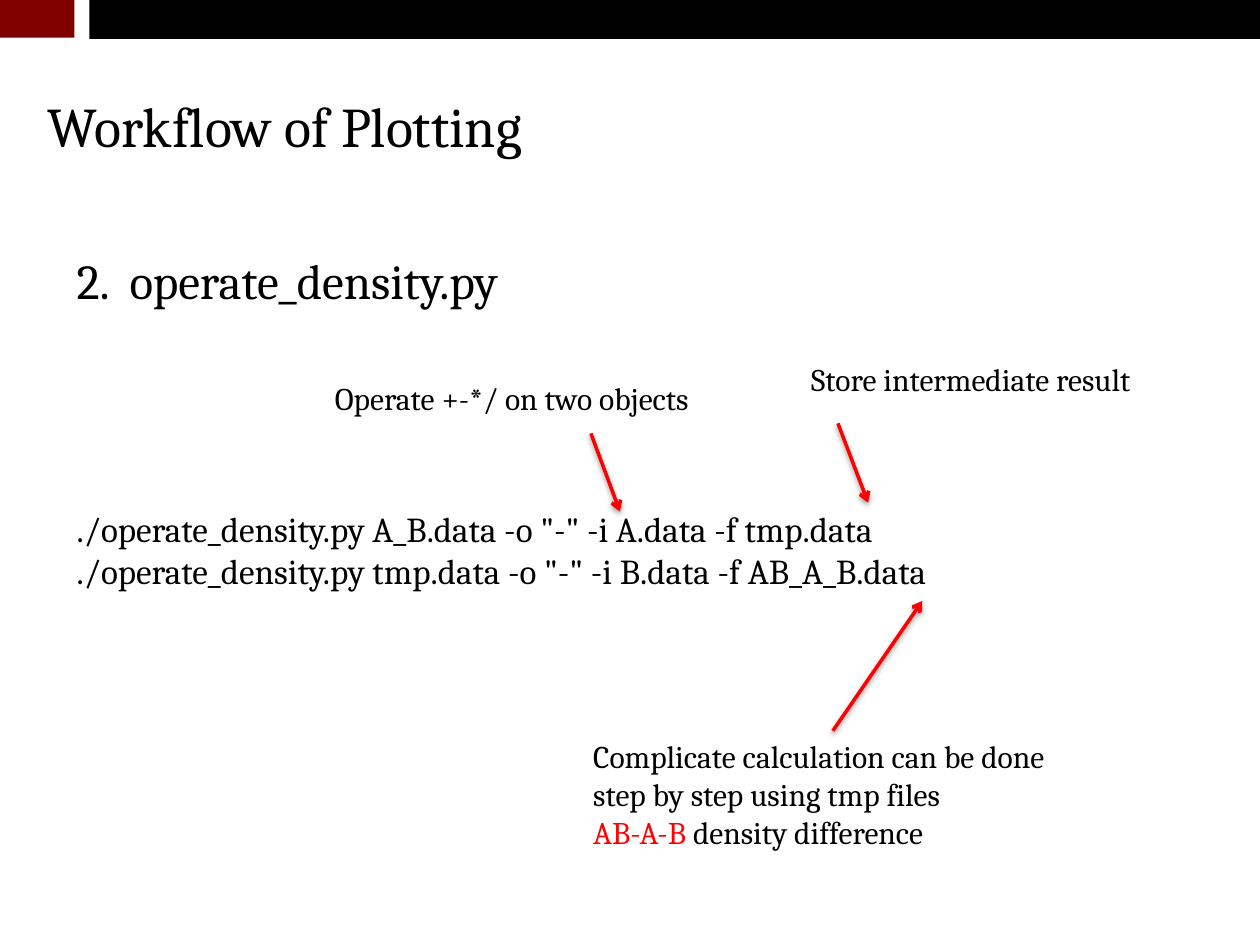
from lxml.etree import SubElement
from pptx import Presentation
from pptx.dml.color import RGBColor
from pptx.enum.shapes import MSO_CONNECTOR, MSO_SHAPE
from pptx.oxml.ns import qn
from pptx.util import Inches, Pt

COLORS = {"black": "000000", "maroon": "800000", "red": "FF0000"}
FONT = "Cambria"


def rgb(name):
    return RGBColor.from_string(COLORS[name])


def add_bar(slide, left, top, width, height, color):
    bar = slide.shapes.add_shape(MSO_SHAPE.RECTANGLE, Inches(left), Inches(top),
                                 Inches(width), Inches(height))
    bar.shadow.inherit = False
    bar.fill.solid()
    bar.fill.fore_color.rgb = rgb(color)
    bar.line.fill.background()


def add_text(slide, box, paragraphs, size, tab=None):
    """Write paragraphs, each a list of (text, color) runs; tab is a stop in inches."""
    shape = slide.shapes.add_textbox(*(Inches(length) for length in box))
    frame = shape.text_frame
    frame.word_wrap = True
    for index, runs in enumerate(paragraphs):
        paragraph = frame.add_paragraph() if index else frame.paragraphs[0]
        if tab:
            stops = SubElement(paragraph._p.get_or_add_pPr(), qn("a:tabLst"))
            SubElement(stops, qn("a:tab"), pos=str(Inches(tab)), algn="l")
        paragraph.font.name = FONT
        paragraph.font.size = Pt(size)
        for text, color in runs:
            run = paragraph.add_run()
            run.text = text
            run.font.color.rgb = rgb(color)


def add_arrow(slide, start, end):
    """Draw a red arrow with a soft shadow below it."""
    points = (Inches(length) for length in (*start, *end))
    arrow = slide.shapes.add_connector(MSO_CONNECTOR.STRAIGHT, *points)
    arrow.line.color.rgb = rgb("red")
    arrow.line.width = Pt(2)
    SubElement(arrow.line._get_or_add_ln(), qn("a:tailEnd"), type="arrow")
    effects = SubElement(arrow._element.spPr, qn("a:effectLst"))
    shadow = SubElement(effects, qn("a:outerShdw"), blurRad=str(Pt(3.1)),
                        dist=str(Pt(1.6)), dir="5400000", rotWithShape="0")
    color = SubElement(shadow, qn("a:srgbClr"), val=COLORS["black"])
    SubElement(color, qn("a:alpha"), val="38000")


def add_header(slide, title):
    add_bar(slide, 0.71, 0, 9.33, 0.31, "black")
    add_bar(slide, 0, -0.03, 0.59, 0.33, "maroon")
    add_text(slide, (0.28, 0.68, 8.98, 0.64), [[(title, "black")]], 32)


def add_commands(slide, left, width):
    add_text(slide, (left, 1.94, 7.17, 0.57),
             [[("2.\toperate_density.py", "black")]], 28, tab=0.42)
    commands = [
        './operate_density.py A_B.data -o "-" -i A.data -f tmp.data',
        './operate_density.py tmp.data -o "-" -i B.data -f AB_A_B.data',
    ]
    add_text(slide, (left, 3.98, width, 0.78),
             [[(command, "black")] for command in commands], 20)


def add_callout(slide, box, paragraphs, start, end):
    add_arrow(slide, start, end)
    add_text(slide, box, paragraphs, 18)


def main():
    presentation = Presentation()
    presentation.slide_width = Inches(10)
    presentation.slide_height = Inches(7.5)
    slide = presentation.slides.add_slide(presentation.slide_layouts[6])

    add_header(slide, "Workflow of Plotting")
    add_commands(slide, 0.51, 8.98)
    add_callout(slide, (2.56, 2.96, 4.17, 0.4),
                [[("Operate +-*/ on two objects", "black")]],
                (4.69, 3.44), (4.92, 4.06))
    add_callout(slide, (6.34, 2.81, 3.07, 0.4),
                [[("Store intermediate result", "black")]],
                (6.65, 3.36), (6.89, 3.99))
    add_callout(slide, (4.61, 5.8, 4.02, 1.01),
                [[("Complicate calculation can be done step by step using tmp files",
                   "black")],
                 [("AB-A-B ", "red"), ("density difference", "black")]],
                (6.61, 5.8), (7.32, 4.77))
    presentation.save("out.pptx")


if __name__ == "__main__":
    main()
